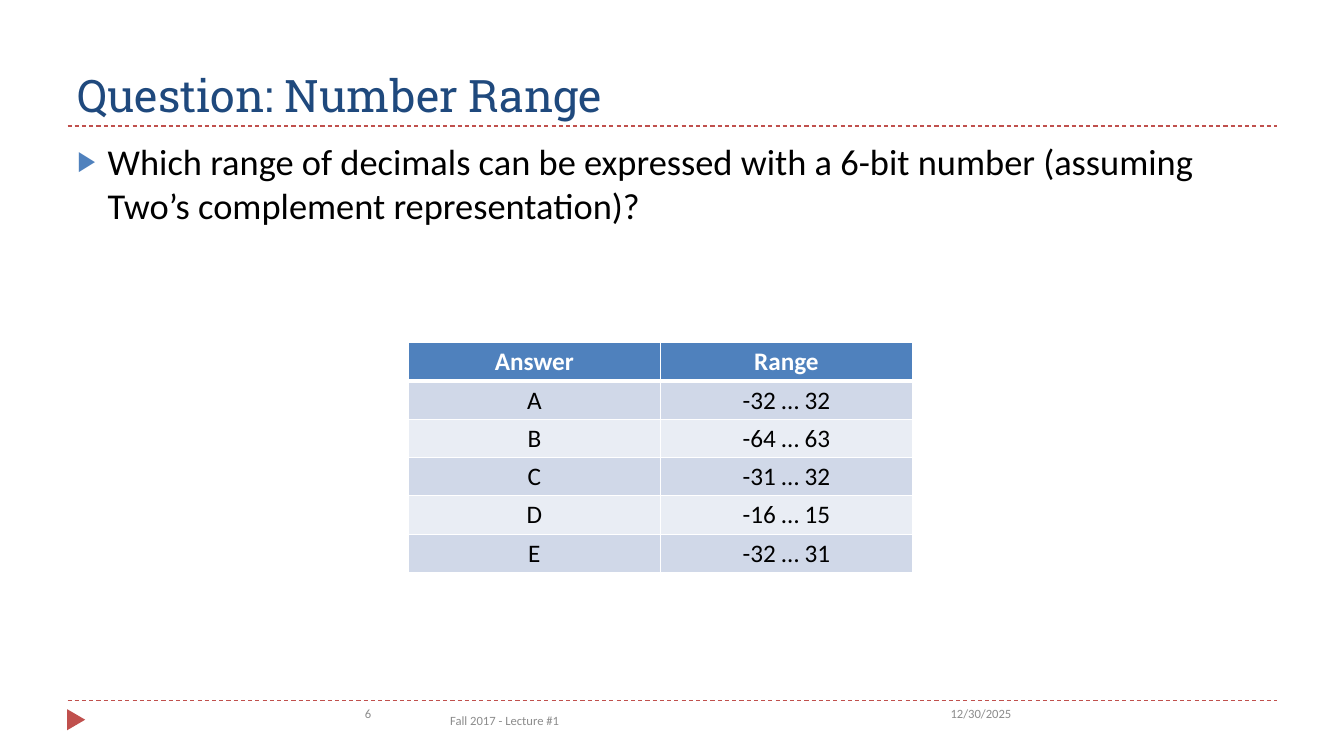
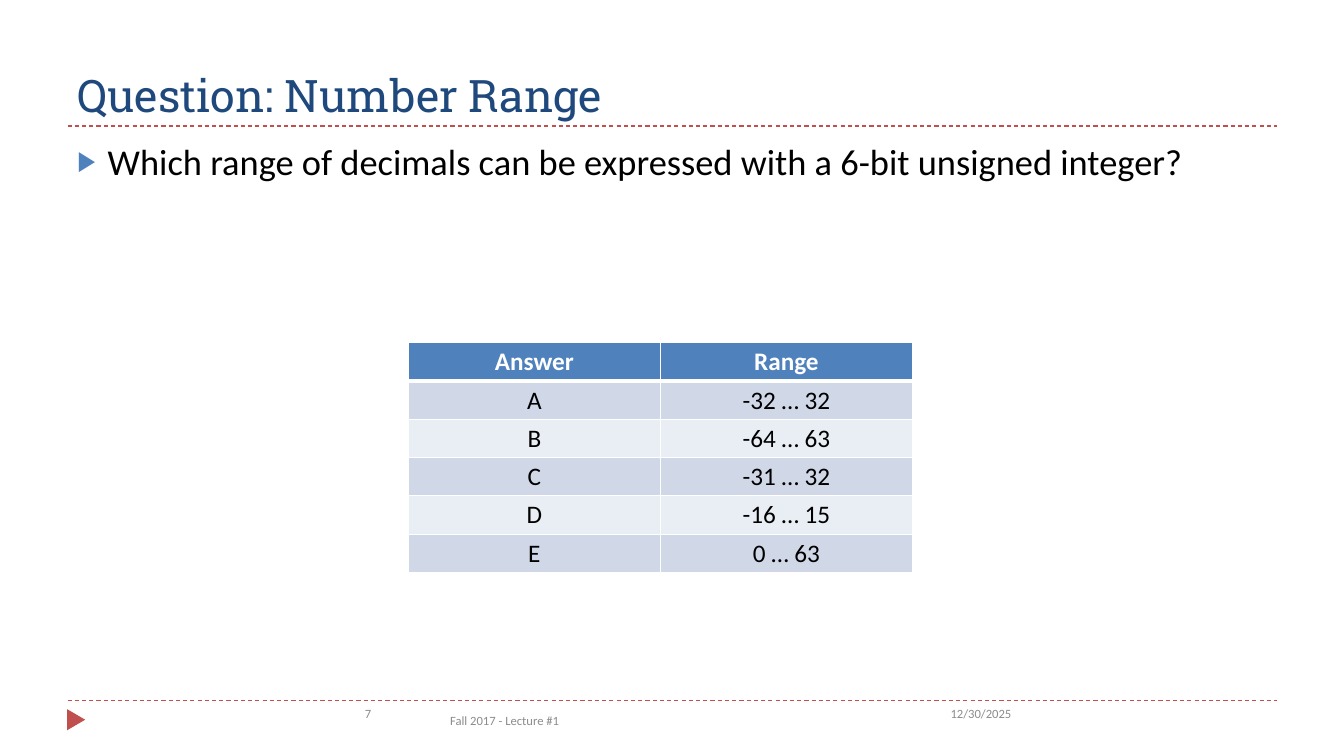
from lxml.etree import SubElement as Sub
from pptx import Presentation
from pptx.dml.color import RGBColor as Rgb
from pptx.enum.dml import MSO_LINE as Dash
from pptx.enum.shapes import MSO_CONNECTOR as Link, MSO_SHAPE as Form
from pptx.enum.text import MSO_ANCHOR as Anchor, PP_ALIGN as Align
from pptx.oxml.ns import qn
from pptx.util import Pt

SCALE = 9144  # EMU in one px, 100 px to the inch
WIDE, HIGH = 1333, 750
HUES = {
    "title": "1F497D", "text": "000000", "foot": "8C8C8C",
    "red": "C0504D", "blue": "4F81BD", "white": "FFFFFF",
    "odd": "D0D8E8", "even": "E9EDF4",
}
FONTS = {
    "title": {"name": "Roboto Slab", "size": Pt(32)},
    "body": {"name": "Calibri", "size": Pt(26)},
    "foot": {"name": "Calibri", "size": Pt(9)},
    "head": {"name": "Calibri", "size": Pt(18), "bold": True},
    "cell": {"name": "Calibri", "size": Pt(18), "bold": False},
}
TITLE = "Question: Number Range"
DATE = "12/30/2025"
COURSE = "Fall 2017 - Lecture #1"
HEAD = ("Answer", "Range")
SHARED = ("-32 … 32", "-64 … 63", "-31 … 32", "-16 … 15")
PAGES = (
    ("6", "Which range of decimals can be expressed with a 6-bit number "
          "(assuming Two’s complement representation)?", "-32 … 31"),
    ("7", "Which range of decimals can be expressed with a 6-bit unsigned "
          "integer?", "0 … 63"),
)


def px(*nums):
    return [num * SCALE for num in nums]


def rgb(hue):
    return Rgb.from_string(HUES[hue])


def put(item, vals):
    for key, val in vals.items():
        setattr(item, key, val)


def style(para, font, hue, align=Align.LEFT):
    para.alignment = align
    put(para.font, FONTS[font])
    para.font.color.rgb = rgb(hue)


def label(slide, box, text, font, hue, align=Align.LEFT, anchor=Anchor.TOP):
    frame = slide.shapes.add_textbox(*px(*box)).text_frame
    put(frame, {"word_wrap": True, "vertical_anchor": anchor})
    para = frame.paragraphs[0]
    para.text = text
    style(para, font, hue, align)
    return para


def rule(slide, left, top, width):
    line = slide.shapes.add_connector(
        Link.STRAIGHT, *px(left, top, left + width, top))
    line.line.color.rgb = rgb("red")
    put(line.line, {"width": Pt(0.75), "dash_style": Dash.DASH})
    Sub(line._element.spPr, qn("a:effectLst"))


def title(slide, box):
    left, top, width, height = box
    rule(slide, left, top + height, width)
    label(slide, box, TITLE, "title", "title", anchor=Anchor.BOTTOM)


def footer(slide, box, page):
    left, top, width, height = box
    rule(slide, left, top, width)
    # Corner arrow
    mark = slide.shapes.add_shape(
        Form.ISOSCELES_TRIANGLE, *px(left - 2, top + 10, 21, 18))
    mark.rotation = 90
    mark.shadow.inherit = False
    mark.fill.solid()
    mark.fill.fore_color.rgb = rgb("red")
    mark.line.fill.background()
    # Date, page number and course
    for shift, span, text, align, anchor in (
        (866, 334, DATE, Align.LEFT, Anchor.TOP),
        (22, 289, page, Align.RIGHT, Anchor.TOP),
        (275, 317, COURSE, Align.CENTER, Anchor.MIDDLE),
    ):
        label(slide, (left + shift, top, span, height), text,
              "foot", "foot", align, anchor)


def body(slide, box, text):
    para = label(slide, box, text, "body", "text")
    # Coloured arrow bullet with a hanging indent
    props = para._p.get_or_add_pPr()
    indent = 30 * SCALE
    props.set("marL", str(indent))
    props.set("indent", str(-indent))
    tint = Sub(props, qn("a:buClr"))
    Sub(tint, qn("a:srgbClr"), val=HUES["blue"])
    Sub(props, qn("a:buSzPct"), val="76000")
    Sub(props, qn("a:buFont"), typeface="Calibri")
    Sub(props, qn("a:buChar"), char="▶")


def border(cell, base):
    props = cell._tc.get_or_add_tcPr()
    for side, size in (("L", 1), ("R", 1), ("T", 1), ("B", base)):
        edge = Sub(props, qn("a:ln" + side), w=str(Pt(size)))
        fill = Sub(edge, qn("a:solidFill"))
        Sub(fill, qn("a:srgbClr"), val=HUES["white"])


def table(slide, box, rows):
    grid = slide.shapes.add_table(len(rows), len(HEAD), *px(*box)).table
    grid.horz_banding = False
    inset = dict(zip(
        ("margin_left", "margin_top", "margin_right", "margin_bottom"),
        px(7, 4, 7, 4)))
    for num, row in enumerate(rows):
        if num == 0:
            font, hue, fill, base = "head", "white", "blue", 3
        else:
            font, hue, base = "cell", "text", 1
            fill = "odd" if num % 2 else "even"
        for col, text in enumerate(row):
            cell = grid.cell(num, col)
            cell.text = text
            put(cell, inset)
            style(cell.text_frame.paragraphs[0], font, hue, Align.CENTER)
            border(cell, base)
            cell.fill.solid()
            cell.fill.fore_color.rgb = rgb(fill)


def question(deck, page, text, last):
    slide = deck.slides.add_slide(deck.slide_layouts[6])
    title(slide, (67, 17, 1200, 108))
    body(slide, (67, 133, 1200, 540), text)
    footer(slide, (67, 695, 1200, 40), page)
    rows = [HEAD, *zip("ABCDE", (*SHARED, last))]
    table(slide, (405, 340, 500, 228), rows)


def main():
    deck = Presentation()
    deck.slide_width, deck.slide_height = px(WIDE, HIGH)
    for page in PAGES:
        question(deck, *page)
    deck.save("out.pptx")


if __name__ == "__main__":
    main()
